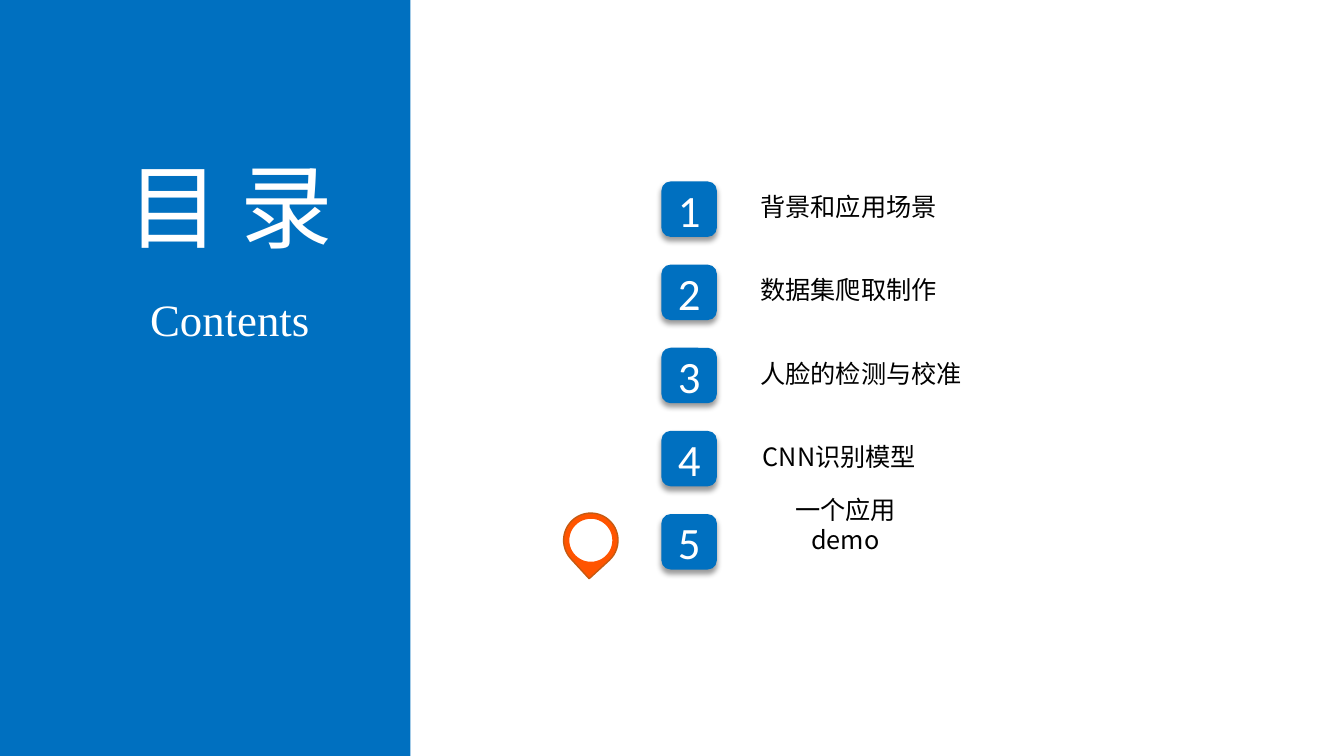
from lxml.etree import SubElement
from pptx import Presentation
from pptx.dml.color import RGBColor
from pptx.enum.shapes import MSO_SHAPE as Shape
from pptx.enum.text import MSO_ANCHOR as Anchor, PP_ALIGN as Align
from pptx.oxml import parse_xml
from pptx.oxml.ns import nsdecls, qn
from pptx.util import Inches, Pt

COLORS = {"blue": "0070C0", "white": "FFFFFF", "black": "000000",
          "orange": "FF5400", "rust": "C55A11"}
CJK, LATIN, SERIF = "Noto Sans CJK SC", "Calibri", "Times New Roman"
# Each topic with the width of its label
TOPICS = [("背景和应用场景", 1.97), ("数据集爬取制作", 1.97),
          ("人脸的检测与校准", 2.22), ("CNN识别模型", 1.79),
          ("一个应用demo", 1.91)]
CURRENT = 4
ROW_PITCH = 0.825
BADGE = 0.55


def color(name):
    return RGBColor.from_string(COLORS[name])


def write(shape, words, size, font, ink, anchor):
    """Put one centred line of styled text in a shape."""
    frame = shape.text_frame
    frame.text = words
    frame.vertical_anchor = anchor
    line = frame.paragraphs[0]
    line.alignment = Align.CENTER
    run = line.runs[0]
    run.font.size = Pt(size)
    run.font.color.rgb = color(ink)
    run.font.name = font
    SubElement(run.font._element, qn("a:ea")).set("typeface", font)
    return frame


def add_text(slide, box, words, size, font, ink, anchor=Anchor.TOP):
    label = slide.shapes.add_textbox(*map(Inches, box))
    frame = write(label, words, size, font, ink, anchor)
    frame.word_wrap = False
    return frame


def add_filled(shapes, kind, box, fill, outline=None):
    part = shapes.add_shape(kind, *map(Inches, box))
    part.shadow.inherit = False
    part.fill.solid()
    part.fill.fore_color.rgb = color(fill)
    if outline:
        part.line.color.rgb = color(outline)
        part.line.width = Pt(1)
    else:
        part.line.fill.background()
    return part


def add_drop_shadow(shape):
    properties = shape._element.spPr
    properties.remove(properties.find(qn("a:effectLst")))
    properties.append(parse_xml(
        f'<a:effectLst {nsdecls("a")}><a:outerShdw blurRad="{Pt(4)}" '
        f'dist="{Pt(3)}" dir="5400000" algn="t" rotWithShape="0">'
        f'<a:srgbClr val="{COLORS["black"]}"><a:alpha val="40000"/>'
        '</a:srgbClr></a:outerShdw></a:effectLst>'))


def add_title_panel(slide, left, top, width, height):
    add_filled(slide.shapes, Shape.RECTANGLE, (left, top, width, height), "blue")
    add_text(slide, (left + 1.02, top + 1.43, 2.52, 1.21), "目 录", 66, CJK, "white")
    add_text(slide, (left + 1.38, top + 2.84, 1.8, 0.64), "Contents", 32, SERIF, "white")


def add_topic(slide, left, top, number, topic, width):
    badge = add_filled(slide.shapes, Shape.ROUNDED_RECTANGLE,
                       (left, top, BADGE, BADGE), "blue")
    add_drop_shadow(badge)
    digit = write(badge, str(number), 32, LATIN, "white", Anchor.MIDDLE)
    digit.margin_left = digit.margin_right = 0
    return add_text(slide, (left + 0.87, top + 0.05, width, 0.4),
                    topic, 18, CJK, "black", Anchor.BOTTOM)


def add_marker(slide, left, top, size):
    """Map pin beside the current topic."""
    pin = slide.shapes.add_group_shape().shapes
    drop = add_filled(pin, Shape.TEAR, (left, top, size, size), "orange", "rust")
    drop.rotation = 137.5
    rim = 0.05
    add_filled(pin, Shape.OVAL, (left + rim, top + rim, size - 2 * rim, size - 2 * rim),
               "white", "orange")


def add_topics(slide, left, top):
    for row, (topic, width) in enumerate(TOPICS):
        row_top = top + row * ROW_PITCH
        label = add_topic(slide, left, row_top, row + 1, topic, width)
        if row == CURRENT:
            # The current topic is set narrow, on two lines
            label.word_wrap = True
            label.margin_left = label.margin_right = Inches(0.3)
            add_marker(slide, left - 0.97, row_top - 0.01, 0.54)


def main():
    deck = Presentation()
    deck.slide_width, deck.slide_height = Inches(13.33), Inches(7.5)
    slide = deck.slides.add_slide(deck.slide_layouts[6])
    add_title_panel(slide, 0, 0, 4.07, 7.5)
    add_topics(slide, 6.56, 1.8)
    deck.save("out.pptx")


if __name__ == "__main__":
    main()
